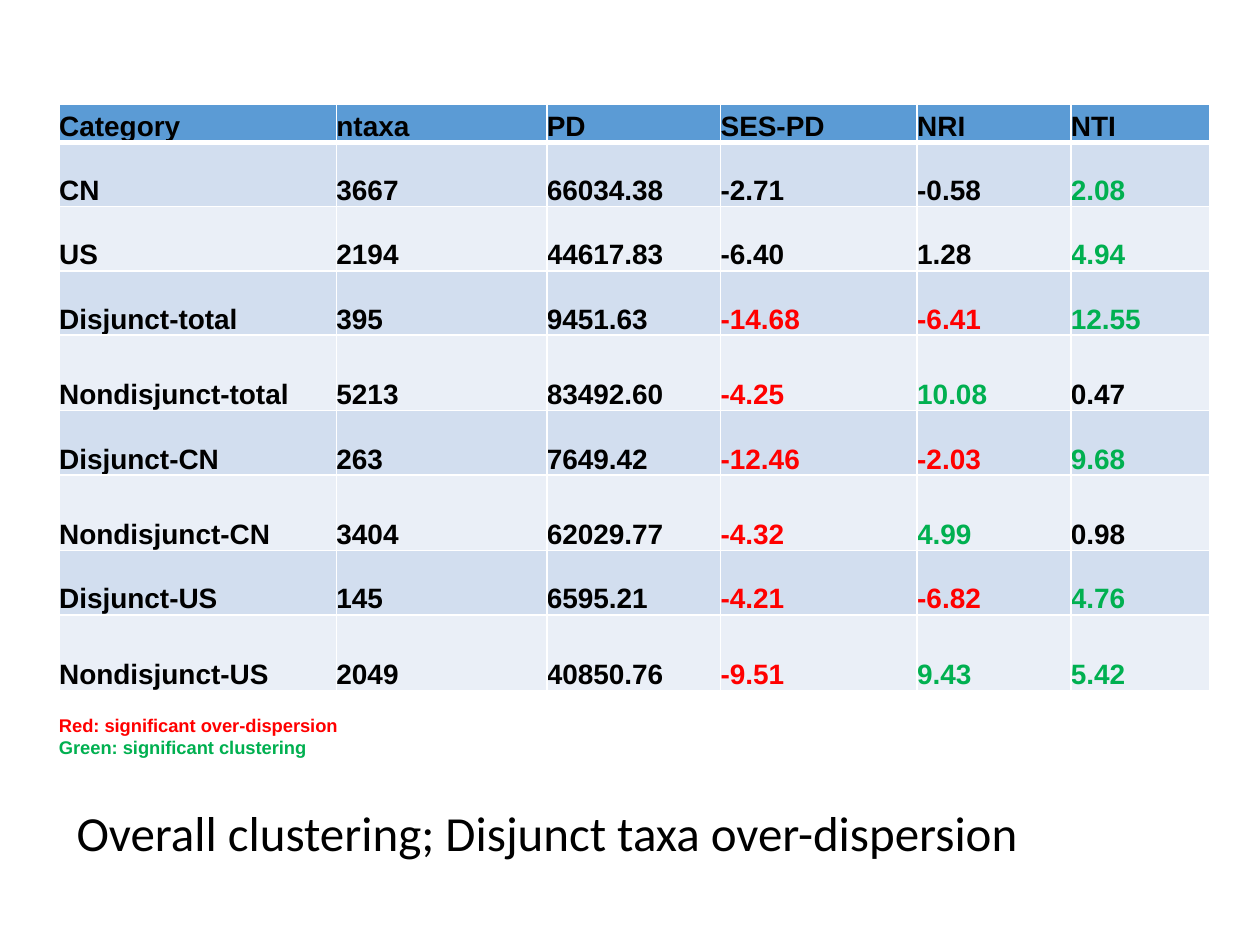
from lxml.etree import SubElement
from pptx import Presentation
from pptx.dml.color import RGBColor
from pptx.enum.text import MSO_ANCHOR
from pptx.oxml.ns import qn
from pptx.util import Inches, Pt

BLACK, RED, GREEN, WHITE = "000000", "FF0000", "00B050", "FFFFFF"
HEADER_FILL, BAND_FILLS = "5B9BD5", ("D2DEEF", "EAEFF7")
MARKS = {"k": BLACK, "r": RED, "g": GREEN}

COLUMNS = ["Category", "ntaxa", "PD", "SES-PD", "NRI", "NTI"]
COL_WIDTHS = [2.2, 1.67, 1.38, 1.56, 1.22, 1.1]
HEADER_HEIGHT, ROW_HEIGHT, TALL_ROW_HEIGHT = 0.3, 0.51, 0.6
# Each row ends with the colour marks of its last three values.
ROWS = [
    (["CN", "3667", "66034.38", "-2.71", "-0.58", "2.08"], "kkg"),
    (["US", "2194", "44617.83", "-6.40", "1.28", "4.94"], "kkg"),
    (["Disjunct-total", "395", "9451.63", "-14.68", "-6.41", "12.55"], "rrg"),
    (["Nondisjunct-total", "5213", "83492.60", "-4.25", "10.08", "0.47"], "rgk"),
    (["Disjunct-CN", "263", "7649.42", "-12.46", "-2.03", "9.68"], "rrg"),
    (["Nondisjunct-CN", "3404", "62029.77", "-4.32", "4.99", "0.98"], "rgk"),
    (["Disjunct-US", "145", "6595.21", "-4.21", "-6.82", "4.76"], "rrg"),
    (["Nondisjunct-US", "2049", "40850.76", "-9.51", "9.43", "5.42"], "rgg"),
]


def rgb(value):
    return RGBColor.from_string(value)


def write(p, text, size=16, font="Arial", color=BLACK, bold=False):
    r = p.add_run()
    r.text = text
    r.font.size, r.font.name, r.font.bold = Pt(size), font, bold
    r.font.color.rgb = rgb(color)


def set_borders(cell, **widths):
    """Draw white borders; widths are points keyed by L, R, T and B."""
    tc_pr = cell._tc.get_or_add_tcPr()
    for i, side in enumerate("LRTB"):
        ln = SubElement(tc_pr, qn(f"a:ln{side}"), w=str(Pt(widths.get(side, 1))))
        fill = SubElement(ln, qn("a:solidFill"))
        SubElement(fill, qn("a:srgbClr"), val=WHITE)
        tc_pr.insert(i, ln)


def fill_cell(cell, text, color, fill, **borders):
    cell.margin_left = cell.margin_right = cell.margin_top = cell.margin_bottom = 0
    cell.vertical_anchor = MSO_ANCHOR.BOTTOM
    cell.fill.solid()
    cell.fill.fore_color.rgb = rgb(fill)
    set_borders(cell, **borders)
    write(cell.text_frame.paragraphs[0], text, color=color, bold=True)


def add_metrics_table(s, left, top):
    heights = [HEADER_HEIGHT] + [
        TALL_ROW_HEIGHT if values[0].startswith("Non") else ROW_HEIGHT
        for values, _ in ROWS
    ]
    table = s.shapes.add_table(
        len(heights), len(COLUMNS), Inches(left), Inches(top),
        Inches(sum(COL_WIDTHS)), Inches(sum(heights)),
    ).table
    for column, width in zip(table.columns, COL_WIDTHS):
        column.width = Inches(width)
    for row, height in zip(table.rows, heights):
        row.height = Inches(height)
    for c, text in enumerate(COLUMNS):
        fill_cell(table.cell(0, c), text, BLACK, HEADER_FILL, B=3)
    for r, (values, marks) in enumerate(ROWS, 1):
        for c, (text, mark) in enumerate(zip(values, "kkk" + marks)):
            fill_cell(table.cell(r, c), text, MARKS[mark],
                      BAND_FILLS[(r - 1) % 2], T=3 if r == 1 else 1)


def add_text(s, box, lines, **fmt):
    """Add one paragraph for each (text, colour) pair."""
    tf = s.shapes.add_textbox(*map(Inches, box)).text_frame
    tf.word_wrap = True
    for i, (text, color) in enumerate(lines):
        p = tf.add_paragraph() if i else tf.paragraphs[0]
        write(p, text, color=color, **fmt)


def main():
    prs = Presentation()
    prs.slide_width, prs.slide_height = Inches(10), Inches(7.5)
    s = prs.slides.add_slide(prs.slide_layouts[6])
    add_metrics_table(s, 0.47, 0.83)
    add_text(s, (0.37, 5.62, 3.9, 0.45),
             [("Red: significant over-dispersion", RED),
              ("Green: significant clustering", GREEN)],
             size=10.5, bold=True)
    add_text(s, (0.51, 6.32, 8.74, 0.57),
             [("Overall clustering; Disjunct taxa over-dispersion", BLACK)],
             size=28, font="Calibri")
    prs.save("out.pptx")


if __name__ == "__main__":
    main()
